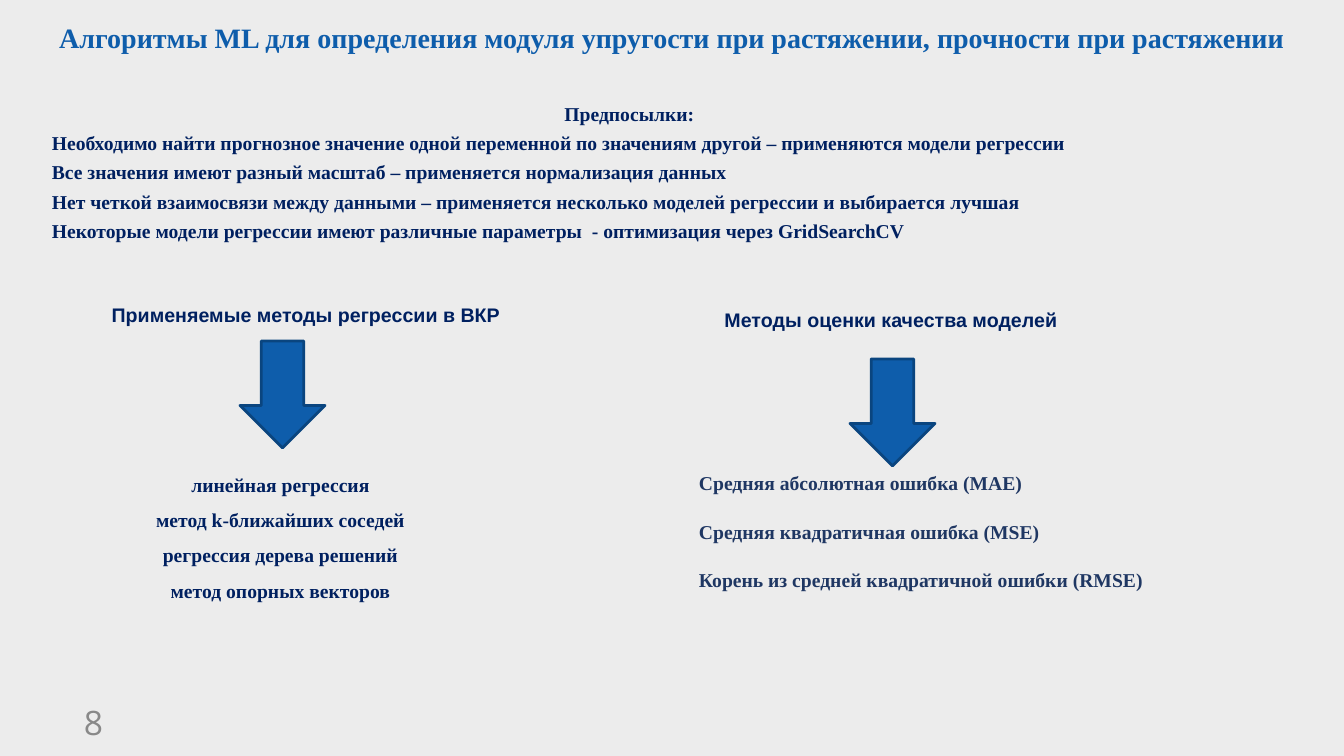
from dataclasses import dataclass

from pptx import Presentation
from pptx.dml.color import RGBColor
from pptx.enum.shapes import MSO_SHAPE
from pptx.enum.text import MSO_ANCHOR, MSO_AUTO_SIZE, PP_ALIGN
from pptx.slide import Slide
from pptx.text.text import TextFrame
from pptx.util import Emu, Pt

SLIDE_W, SLIDE_H = 1344, 756
TITLE_ONLY = 5


@dataclass(frozen=True)
class Theme:
    background: str = "ECECEC"
    accent: str = "0E5DAB"
    arrow_line: str = "0A457F"
    navy: str = "002060"
    slate: str = "1F3763"
    grey: str = "898989"
    serif: str = "Times New Roman"
    sans: str = "Arial"
    number_font: str = "Open Sans"
    title_size: int = 20
    text_size: int = 14
    number_size: int = 24


THEME = Theme()


@dataclass(frozen=True)
class Box:
    left: int
    top: int
    width: int
    height: int


@dataclass(frozen=True)
class Style:
    font: str = THEME.serif
    size: int = THEME.text_size
    color: str = THEME.navy
    bold: bool = True
    align: PP_ALIGN = PP_ALIGN.LEFT
    line_spacing: float = 1.0
    before: float = 0
    after: float = 0
    anchor: MSO_ANCHOR = MSO_ANCHOR.TOP


@dataclass(frozen=True)
class TextBlock:
    box: Box
    lines: tuple[str, ...]
    style: Style


CENTER = PP_ALIGN.CENTER
MIDDLE = MSO_ANCHOR.MIDDLE
HEADING = Style(font=THEME.sans, align=CENTER)

TITLE = TextBlock(
    Box(0, 2, SLIDE_W, 74),
    ("Алгоритмы ML для определения модуля упругости при растяжении, прочности при растяжении",),
    Style(size=THEME.title_size, color=THEME.accent, align=CENTER, line_spacing=0.9, anchor=MIDDLE),
)
PREMISES = TextBlock(
    Box(42, 101, 1175, 171),
    (
        "Предпосылки:",
        "Необходимо найти прогнозное значение одной переменной по значениям другой – применяются модели регрессии",
        "Все значения имеют разный масштаб – применяется нормализация данных",
        "Нет четкой взаимосвязи между данными – применяется несколько моделей регрессии и выбирается лучшая",
        "Некоторые модели регрессии имеют различные параметры  - оптимизация через GridSearchCV",
    ),
    Style(line_spacing=0.8, before=7.5),
)
BLOCKS = (
    TextBlock(Box(87, 298, 438, 34), ("Применяемые методы регрессии в ВКР",), HEADING),
    TextBlock(Box(672, 303, 438, 34), ("Методы оценки качества моделей",), HEADING),
    TextBlock(
        Box(120, 456, 321, 148),
        (
            "линейная регрессия",
            "метод k-ближайших соседей",
            "регрессия дерева решений",
            "метод опорных векторов",
        ),
        Style(align=CENTER, line_spacing=1.5),
    ),
    TextBlock(
        Box(689, 466, 558, 129),
        (
            "Средняя абсолютная ошибка (MAE)",
            "Средняя квадратичная ошибка (MSE)",
            "Корень из средней квадратичной ошибки (RMSE)",
        ),
        Style(color=THEME.slate, after=17.8),
    ),
    TextBlock(
        Box(74, 702, 93, 40),
        ("8",),
        Style(THEME.number_font, THEME.number_size, THEME.grey, bold=False, anchor=MIDDLE),
    ),
)
ARROWS = (Box(240, 341, 85, 107), Box(850, 359, 85, 107))


def px(length: int) -> Emu:
    return Emu(round(length * 914400 / 100.8))


def place(box: Box) -> tuple[Emu, Emu, Emu, Emu]:
    return px(box.left), px(box.top), px(box.width), px(box.height)


def rgb(color: str) -> RGBColor:
    return RGBColor.from_string(color)


def write_lines(tf: TextFrame, block: TextBlock) -> None:
    style = block.style
    tf.word_wrap = True
    tf.auto_size = MSO_AUTO_SIZE.NONE
    tf.vertical_anchor = style.anchor
    for i, line in enumerate(block.lines):
        p = tf.add_paragraph() if i else tf.paragraphs[0]
        p.alignment = style.align
        p.line_spacing = style.line_spacing
        p.space_before = Pt(style.before)
        p.space_after = Pt(style.after)
        r = p.add_run()
        r.text = line
        r.font.name = style.font
        r.font.size = Pt(style.size)
        r.font.bold = style.bold
        r.font.color.rgb = rgb(style.color)


def add_text(slide: Slide, block: TextBlock) -> TextFrame:
    tf = slide.shapes.add_textbox(*place(block.box)).text_frame
    write_lines(tf, block)
    return tf


def add_title(slide: Slide, block: TextBlock) -> None:
    sp = slide.shapes.title
    sp.left, sp.top, sp.width, sp.height = place(block.box)
    write_lines(sp.text_frame, block)


def add_down_arrow(slide: Slide, box: Box) -> None:
    sp = slide.shapes.add_shape(MSO_SHAPE.DOWN_ARROW, *place(box))
    sp.shadow.inherit = False
    sp.fill.solid()
    sp.fill.fore_color.rgb = rgb(THEME.accent)
    sp.line.color.rgb = rgb(THEME.arrow_line)
    sp.line.width = Pt(2)


def main() -> None:
    prs = Presentation()
    prs.slide_width, prs.slide_height = px(SLIDE_W), px(SLIDE_H)
    slide = prs.slides.add_slide(prs.slide_layouts[TITLE_ONLY])
    slide.background.fill.solid()
    slide.background.fill.fore_color.rgb = rgb(THEME.background)

    add_title(slide, TITLE)
    premises = add_text(slide, PREMISES)
    premises.paragraphs[0].alignment = CENTER
    for block in BLOCKS:
        add_text(slide, block)
    for box in ARROWS:
        add_down_arrow(slide, box)
    prs.save("out.pptx")


if __name__ == "__main__":
    main()
